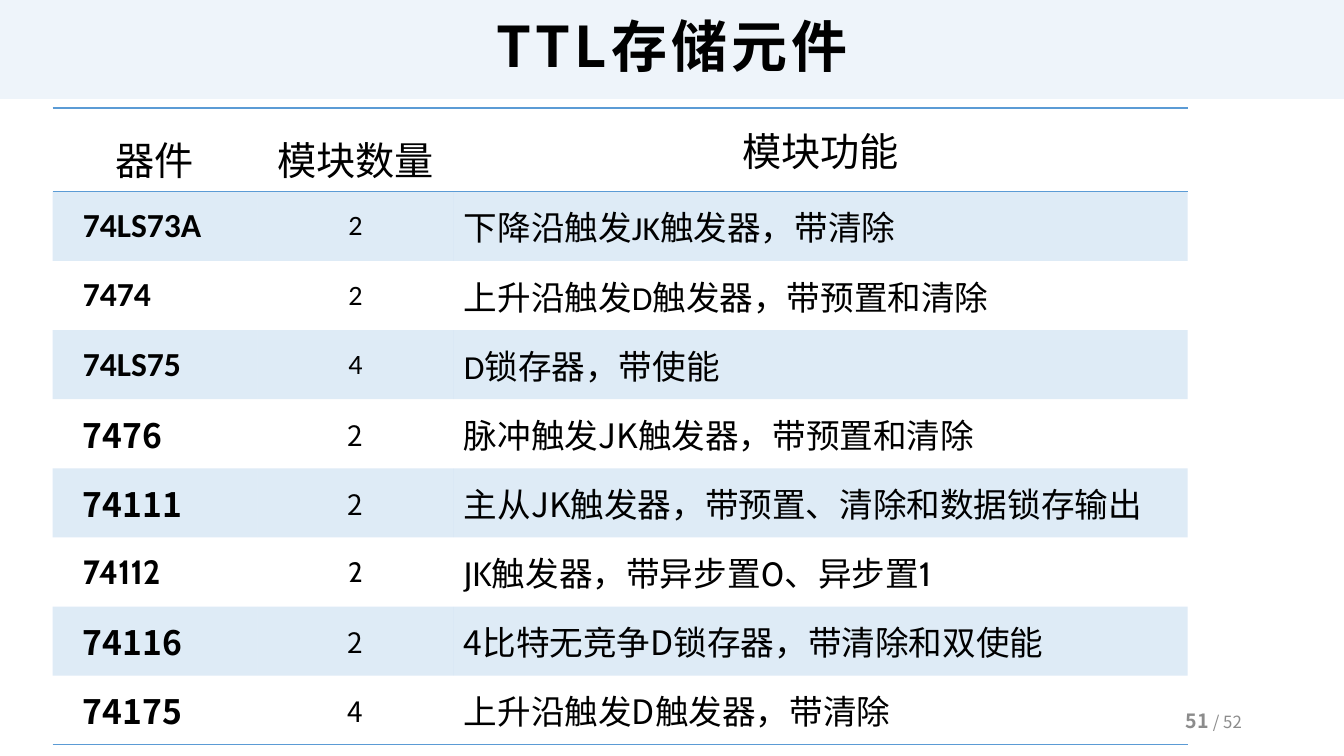
from lxml import etree
from pptx import Presentation
from pptx.dml.color import RGBColor
from pptx.enum.text import MSO_ANCHOR, MSO_AUTO_SIZE, PP_ALIGN
from pptx.oxml.ns import qn
from pptx.util import Pt

CJK_FONT = "Noto Sans CJK SC"
BLACK, BLUE, PALE_BLUE, GREY = "000000", "5B9BD5", "DEEBF7", "8C8C8C"
NO_STYLE = "{2D5ABB26-0587-4C30-8999-92F81FD0307C}"
COLUMN_WIDTHS = (146.2, 140.4, 524.1)
HEADER_HEIGHT, ROW_HEIGHT = 56.9, 49.4
HEADINGS = ("器件", "模块数量", "模块功能")
DEVICES = (
    ("74LS73A", "2", "下降沿触发JK触发器，带清除", "Calibri"),
    ("7474", "2", "上升沿触发D触发器，带预置和清除", "Calibri"),
    ("74LS75", "4", "D锁存器，带使能", "Calibri"),
    ("7476", "2", "脉冲触发JK触发器，带预置和清除", CJK_FONT),
    ("74111", "2", "主从JK触发器，带预置、清除和数据锁存输出", CJK_FONT),
    ("74112", "2", "JK触发器，带异步置0、异步置1", "Cabin"),
    ("74116", "2", "4比特无竞争D锁存器，带清除和双使能", CJK_FONT),
    ("74175", "4", "上升沿触发D触发器，带清除", CJK_FONT),
)


def set_color(color_format, color):
    """Give a colour format a hex colour."""
    color_format.rgb = RGBColor.from_string(color)


def set_fill(fill, color, opacity):
    """Fill with a hex colour at an opacity in percent."""
    fill.solid()
    set_color(fill.fore_color, color)
    color_element = fill._xPr.find(qn("a:solidFill"))[0]
    etree.SubElement(color_element, qn("a:alpha"), val=str(opacity * 1000))


def format_run(run, size, font=CJK_FONT, bold=False, color=BLACK):
    """Set the type of a run, with its Chinese characters in the CJK font."""
    run.font.size = Pt(size)
    run.font.name = font
    run.font.bold = bold
    set_color(run.font.color, color)
    latin = run.font._element.find(qn("a:latin"))
    latin.addnext(latin.makeelement(qn("a:ea"), {"typeface": CJK_FONT}))


def add_border(cell, side):
    """Draw a thin blue line on one side of a cell."""
    properties = cell._tc.get_or_add_tcPr()
    line = properties.makeelement(qn(f"a:{side}"), {"w": str(Pt(1))})
    fill = etree.SubElement(line, qn("a:solidFill"))
    etree.SubElement(fill, qn("a:srgbClr"), val=BLUE)
    position = len(properties.findall(qn("a:lnT")))
    properties.insert(position, line)


def fill_cell(cell, text, size, font, align=PP_ALIGN.LEFT, bold=False):
    """Write a vertically centred cell and return its paragraph."""
    cell.vertical_anchor = MSO_ANCHOR.MIDDLE
    cell.text_frame.text = text
    paragraph = cell.text_frame.paragraphs[0]
    paragraph.alignment = align
    format_run(paragraph.runs[0], size, font, bold)
    return paragraph


def format_title(title):
    """Turn the title placeholder into a pale band across the slide."""
    title.left, title.top, title.width, title.height = Pt(0), Pt(0), Pt(960), Pt(70.6)
    set_fill(title.fill, PALE_BLUE, 50)
    frame = title.text_frame
    frame.text = "TTL存储元件"
    frame.auto_size = MSO_AUTO_SIZE.NONE
    frame.vertical_anchor = MSO_ANCHOR.MIDDLE
    paragraph = frame.paragraphs[0]
    paragraph.alignment = PP_ALIGN.CENTER
    paragraph.line_spacing = 0.9
    format_run(paragraph.runs[0], 40, bold=True)
    paragraph.runs[0].font._element.set("spc", "300")


def add_device_table(slide):
    """Add the table of storage devices."""
    height = HEADER_HEIGHT + ROW_HEIGHT * len(DEVICES)
    frame = slide.shapes.add_table(
        len(DEVICES) + 1, len(HEADINGS), Pt(37.6), Pt(77.2),
        Pt(sum(COLUMN_WIDTHS)), Pt(height))
    table = frame.table
    table._tbl.tblPr.find(qn("a:tableStyleId")).text = NO_STYLE
    for column, width in zip(table.columns, COLUMN_WIDTHS):
        column.width = Pt(width)
    for row in table.rows:
        row.height = Pt(ROW_HEIGHT)
    table.rows[0].height = Pt(HEADER_HEIGHT)

    for column, heading in enumerate(HEADINGS):
        cell = table.cell(0, column)
        paragraph = fill_cell(cell, heading, 28, "Calibri", PP_ALIGN.CENTER)
        if column < 2:
            paragraph.line_spacing = 1.3
        add_border(cell, "lnT")
        add_border(cell, "lnB")

    for row, (device, count, function, font) in enumerate(DEVICES, start=1):
        paragraph = fill_cell(table.cell(row, 0), device, 24, font, bold=True)
        paragraph._p.get_or_add_pPr().set("indent", str(Pt(14.4)))
        fill_cell(table.cell(row, 1), count, 20, font, PP_ALIGN.CENTER)
        fill_cell(table.cell(row, 2), function, 24, font)
        for cell in table.rows[row].cells:
            if row % 2:
                set_fill(cell.fill, BLUE, 20)
            else:
                cell.fill.background()
            if row == len(DEVICES):
                add_border(cell, "lnB")


def add_page_number(slide):
    """Add the page number with the page total."""
    box = slide.shapes.add_textbox(Pt(678.2), Pt(500.4), Pt(216), Pt(28.8))
    frame = box.text_frame
    frame.word_wrap = True
    frame.vertical_anchor = MSO_ANCHOR.MIDDLE
    paragraph = frame.paragraphs[0]
    paragraph.alignment = PP_ALIGN.RIGHT
    for text, size, bold in (("51", 14, True), (" / 52", 12, False)):
        run = paragraph.add_run()
        run.text = text
        format_run(run, size, bold=bold, color=GREY)


def main():
    """Build and save the slide."""
    presentation = Presentation()
    presentation.slide_width, presentation.slide_height = Pt(960), Pt(540)
    slide = presentation.slides.add_slide(presentation.slide_layouts[5])
    format_title(slide.shapes.title)
    add_device_table(slide)
    add_page_number(slide)
    presentation.save("out.pptx")


if __name__ == "__main__":
    main()
